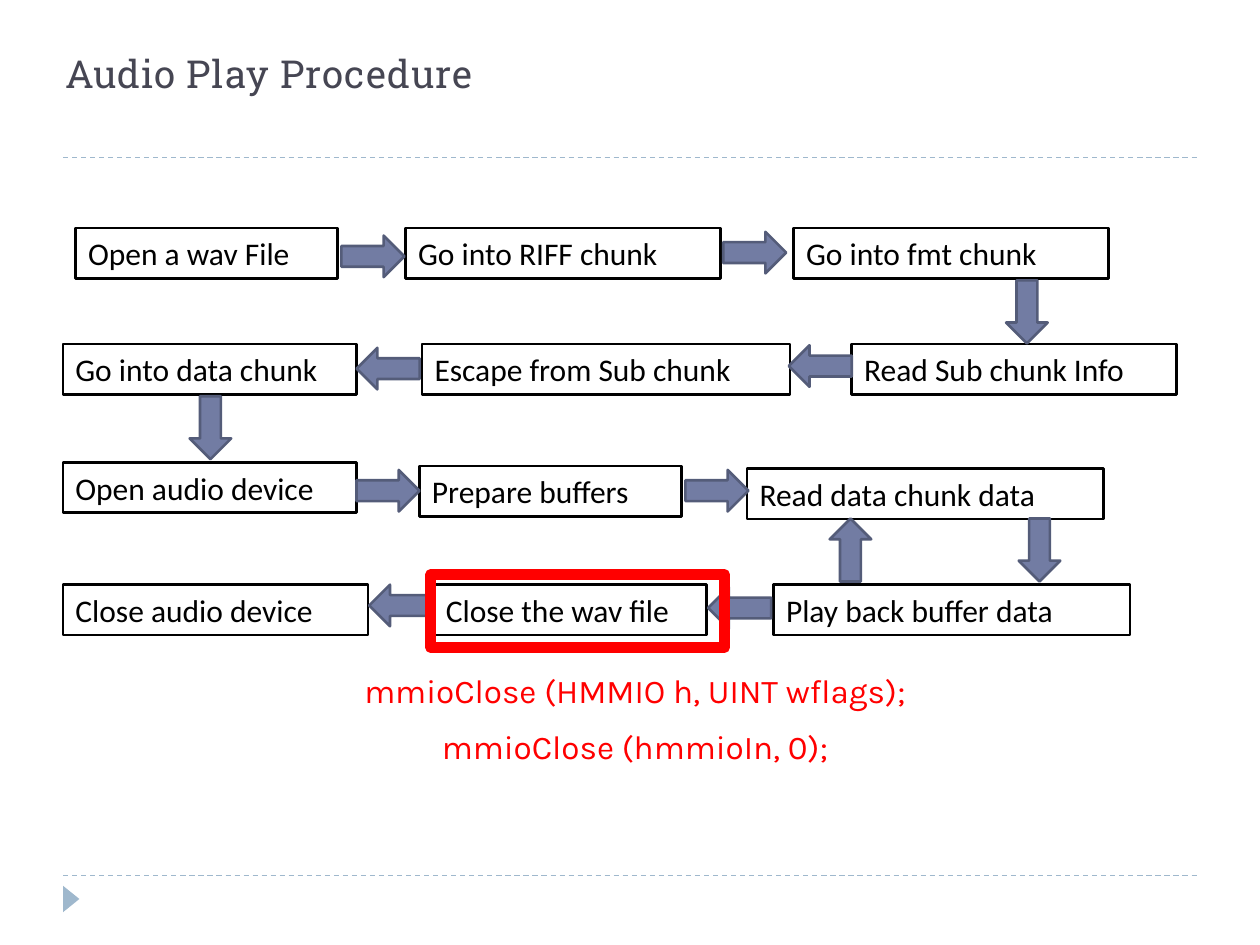
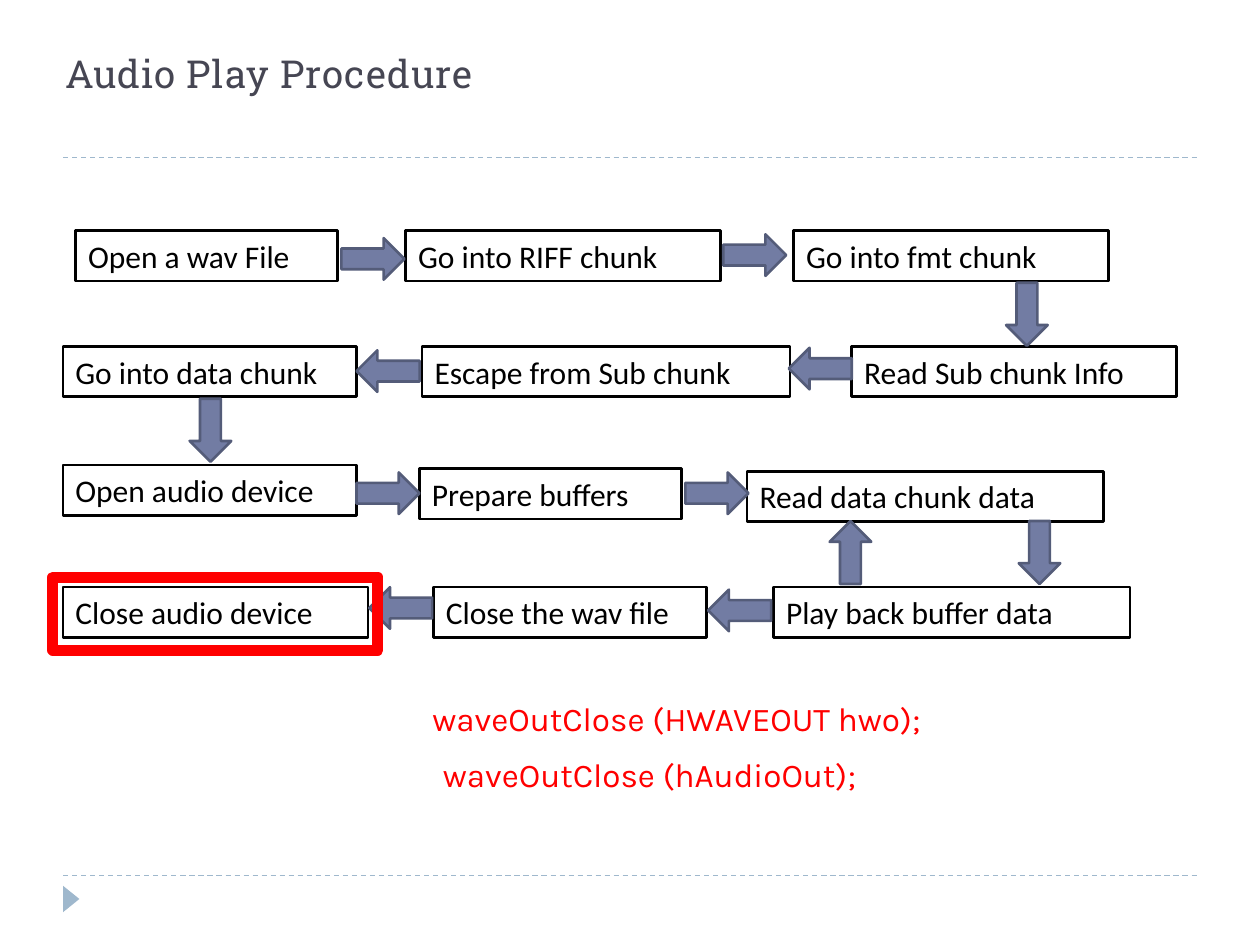
from lxml import etree
from pptx import Presentation
from pptx.dml.color import RGBColor
from pptx.enum import dml, shapes, text
from pptx.oxml import ns
from pptx.util import Inches, Pt

WHITE = RGBColor(0xFF, 0xFF, 0xFF)
BLACK = RGBColor(0x00, 0x00, 0x00)
RED = RGBColor(0xFF, 0x00, 0x00)
TITLE_GREY = RGBColor(0x46, 0x46, 0x53)
PALE_BLUE = RGBColor(0x9F, 0xB8, 0xCD)
ARROW_BLUE = RGBColor(0x72, 0x7C, 0xA3)
ARROW_EDGE = RGBColor(0x54, 0x5C, 0x79)

RIGHT, DOWN, LEFT, UP = 0, 90, 180, 270

# left, top, width, label
STEPS = [
    (0.6, 1.81, 2.08, "Open a wav File"),
    (3.22, 1.81, 2.5, "Go into RIFF chunk"),
    (6.3, 1.81, 2.5, "Go into fmt chunk"),
    (6.76, 2.73, 2.58, "Read Sub chunk Info"),
    (3.35, 2.73, 2.92, "Escape from Sub chunk"),
    (0.5, 2.73, 2.33, "Go into data chunk"),
    (0.5, 3.67, 2.33, "Open audio device"),
    (3.33, 3.7, 2.08, "Prepare buffers"),
    (5.93, 3.72, 2.83, "Read data chunk data"),
    (6.14, 4.64, 2.83, "Play back buffer data"),
    (3.44, 4.64, 2.17, "Close the wav file"),
    (0.5, 4.64, 2.42, "Close audio device"),
]
# left, top, direction
ARROWS = [
    (2.71, 1.87, RIGHT), (5.74, 1.84, RIGHT), (7.9, 2.31, DOWN),
    (6.26, 2.74, LEFT), (2.83, 2.76, LEFT), (1.42, 3.23, DOWN),
    (2.83, 3.73, RIGHT), (5.44, 3.73, RIGHT), (8, 4.2, DOWN),
    (6.5, 4.2, UP), (5.62, 4.66, LEFT), (2.93, 4.64, LEFT),
]
# shift of the chart, frame (left, width), caption (left, top), lines (indent, wording)
PAGES = [
    (0, (3.42, 2.33), (0.33, 5.27),
     [(0, "mmioClose (HMMIO h, UINT wflags);"), (0, "mmioClose (hmmioIn, 0);")]),
    (0.02, (0.42, 2.58), (0.17, 5.49),
     [(0.98, "waveOutClose (HWAVEOUT hwo);"), (0.55, "waveOutClose (hAudioOut);")]),
]


def add_shape(page, kind, left, top, width, height, fill=None, line=None, weight=1.5):
    shape = page.shapes.add_shape(
        kind, Inches(left), Inches(top), Inches(width), Inches(height))
    shape.shadow.inherit = False
    if fill is None:
        shape.fill.background()
    else:
        shape.fill.solid()
        shape.fill.fore_color.rgb = fill
    if line is None:
        shape.line.fill.background()
    else:
        shape.line.color.rgb = line
        shape.line.width = Pt(weight)
    return shape


def write(paragraph, wording, size, name, color):
    paragraph.text = wording
    paragraph.font.size = Pt(size)
    paragraph.font.name = name
    paragraph.font.color.rgb = color


deck = Presentation()
deck.slide_width, deck.slide_height = Inches(10), Inches(7.5)
kinds = shapes.MSO_SHAPE

for shift, (frame_left, frame_width), (caption_left, caption_top), lines in PAGES:
    page = deck.slides.add_slide(deck.slide_layouts[6])

    for y in (6.95, 1.25):
        rule = page.shapes.add_connector(
            shapes.MSO_CONNECTOR.STRAIGHT, Inches(0.5), Inches(y), Inches(9.5), Inches(y))
        rule.line.color.rgb = PALE_BLUE
        rule.line.width = Pt(0.75)
        rule.line.dash_style = dml.MSO_LINE.DASH
        etree.SubElement(rule._element.spPr, ns.qn("a:effectLst"))
    marker = add_shape(page, kinds.ISOSCELES_TRIANGLE, 0.46, 7.07, 0.21, 0.13, PALE_BLUE)
    marker.rotation = 90

    title = page.shapes.add_textbox(Inches(0.42), Inches(0.25), Inches(9.17), Inches(0.56))
    title.text_frame.word_wrap = True
    title.text_frame.vertical_anchor = text.MSO_ANCHOR.BOTTOM
    heading = title.text_frame.paragraphs[0]
    write(heading, "Audio Play Procedure", 22, "Roboto Slab", TITLE_GREY)
    heading.runs[0].font._element.set("spc", "50")

    for left, top, width, label in STEPS:
        box = add_shape(page, kinds.RECTANGLE, left, top + shift, width, 0.4, WHITE, BLACK)
        frame = box.text_frame
        frame.word_wrap = True
        frame.auto_size = text.MSO_AUTO_SIZE.SHAPE_TO_FIT_TEXT
        frame.vertical_anchor = text.MSO_ANCHOR.TOP
        write(frame.paragraphs[0], label, 18, "Calibri", BLACK)
        frame.paragraphs[0].alignment = text.PP_ALIGN.LEFT

    for left, top, direction in ARROWS:
        arrow = add_shape(page, kinds.RIGHT_ARROW, left, top + shift, 0.5, 0.33,
                          ARROW_BLUE, ARROW_EDGE)
        arrow.rotation = direction

    add_shape(page, kinds.RECTANGLE, frame_left, 4.56 + shift, frame_width, 0.58,
              line=RED, weight=6.25)

    caption = page.shapes.add_textbox(
        Inches(caption_left), Inches(caption_top), Inches(9.42), Inches(0.9))
    caption.text_frame.word_wrap = True
    for number, (indent, wording) in enumerate(lines):
        para = caption.text_frame.add_paragraph() if number else caption.text_frame.paragraphs[0]
        write(para, wording, 19, "Karla", RED)
        para.alignment = text.PP_ALIGN.CENTER
        para.space_before = Pt(9.5)
        para._p.get_or_add_pPr().set("marL", str(Inches(indent)))

deck.save("out.pptx")
